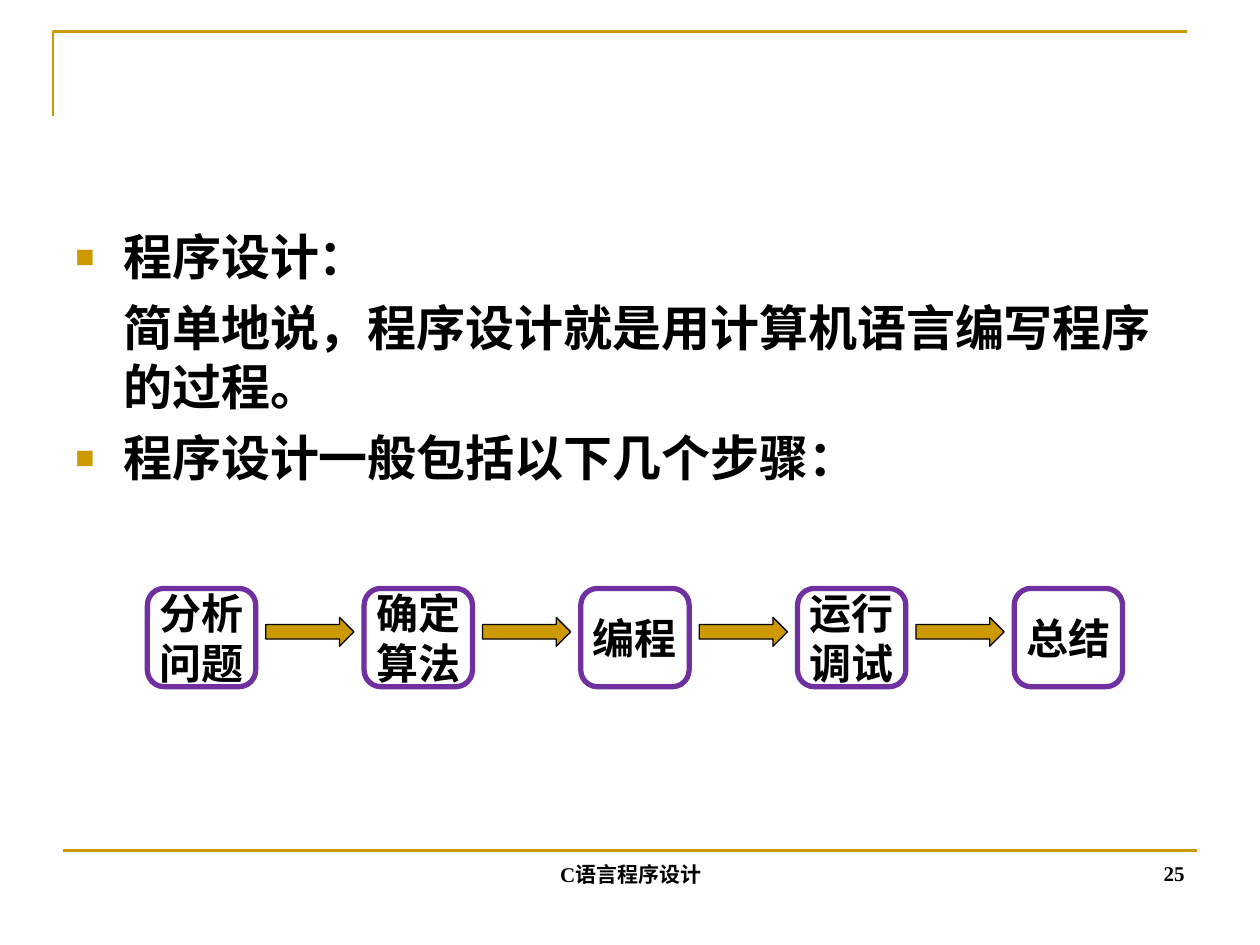
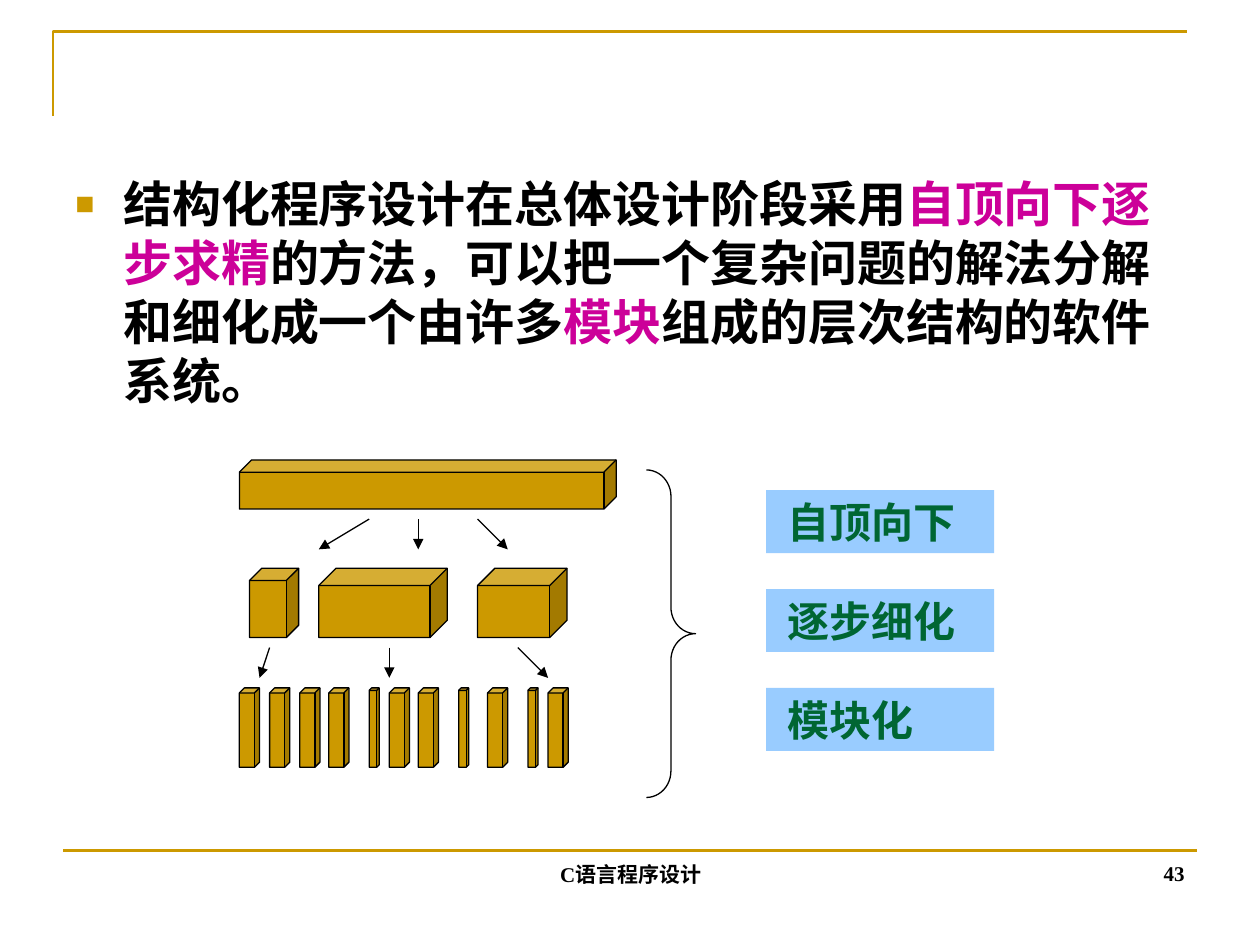
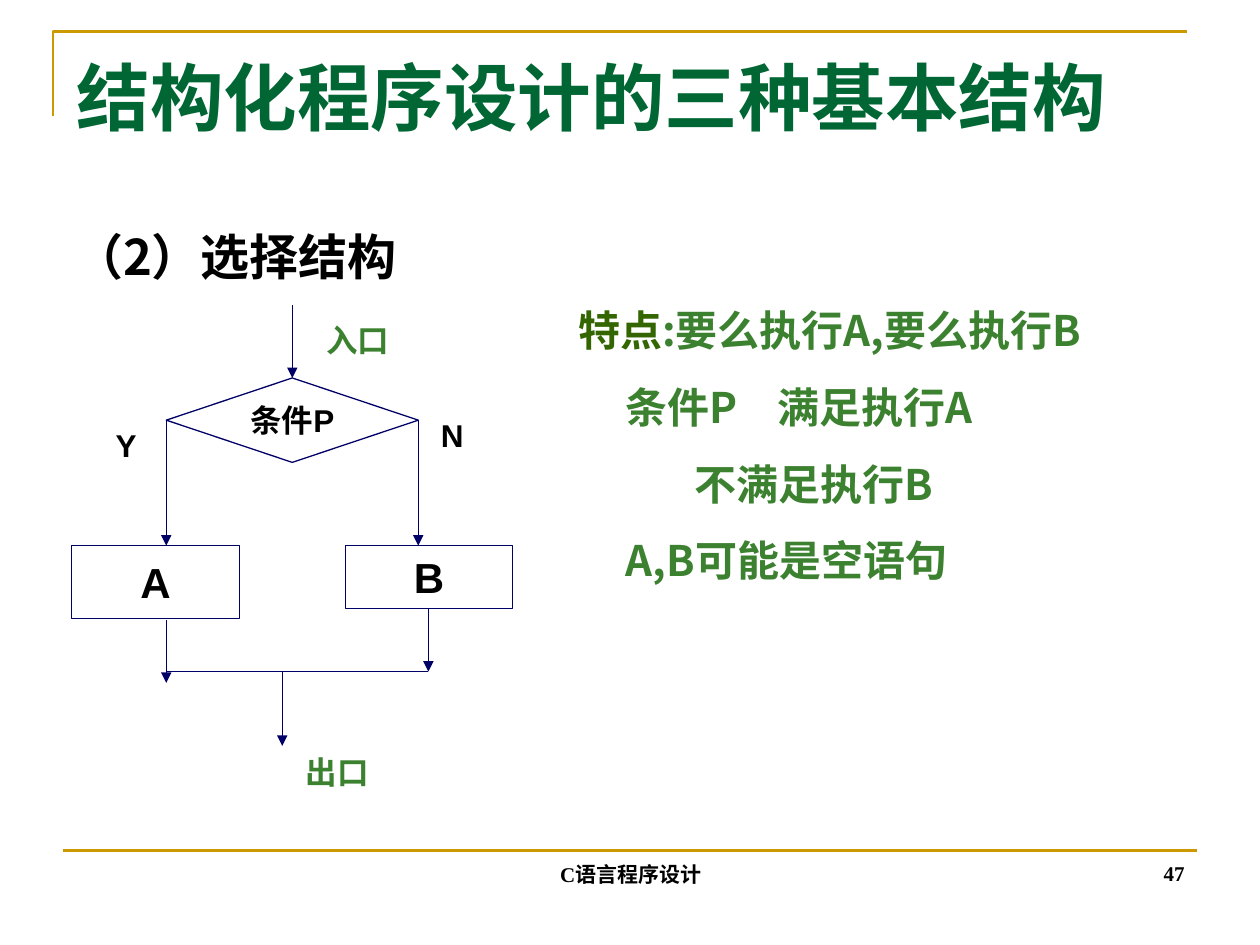
import pptx
import pptx.dml.color
import pptx.enum.shapes
import pptx.enum.text
import pptx.oxml
import pptx.oxml.ns
import pptx.util
from pptx.dml.color import RGBColor
from pptx.util import Inches

GOLD = RGBColor(0xCC, 0x99, 0x00)
BLACK = RGBColor(0, 0, 0)
WHITE = RGBColor(0xFF, 0xFF, 0xFF)
PURPLE = RGBColor(0x70, 0x30, 0xA0)
MAGENTA = RGBColor(0xCC, 0x00, 0x99)
NAVY = RGBColor(0x00, 0x00, 0x66)
SKY = RGBColor(0x99, 0xCC, 0xFF)
TITLE_GREEN = RGBColor(0x00, 0x66, 0x33)
LEAF_GREEN = RGBColor(0x3B, 0x81, 0x2F)
DARK_GREEN = RGBColor(0x33, 0x66, 0x00)

CJK_FONT = "Noto Sans CJK SC"
BODY_INDENT = 0.38

SHAPE = pptx.enum.shapes.MSO_SHAPE
ALIGN = pptx.enum.text.PP_ALIGN
ANCHOR = pptx.enum.text.MSO_ANCHOR


def append_xml(parent, *elements):
    """Append drawing elements, written without namespace, to parent."""
    declaration = pptx.oxml.ns.nsdecls("a")
    for element in elements:
        name, separator, rest = element.partition(" ")
        parent.append(pptx.oxml.parse_xml(f"<a:{name} {declaration} {rest}"))


def write_text(frame, text, size=24, font="Arial", color=BLACK, align=ALIGN.LEFT,
               anchor=ANCHOR.TOP, wrap=True, space=0, left_inset=0.1):
    """Write a string or a list of paragraphs; a paragraph may be a list of (text, colour)."""
    frame.word_wrap = wrap
    frame.vertical_anchor = anchor
    frame.margin_left = Inches(left_inset)
    paragraphs = [text] if isinstance(text, str) else text
    for index, content in enumerate(paragraphs):
        paragraph = frame.add_paragraph() if index else frame.paragraphs[0]
        paragraph.alignment = align
        if index and space:
            paragraph.space_before = pptx.util.Pt(space)
        runs = [(content, color)] if isinstance(content, str) else content
        for words, run_color in runs:
            run = paragraph.add_run()
            run.text = words
            run.font.size = pptx.util.Pt(size)
            run.font.bold = True
            run.font.name = font
            run.font.color.rgb = run_color
            append_xml(run.font._element, f'ea typeface="{CJK_FONT}"/>')


def add_text(slide, left, top, width, height, text, **text_format):
    box = slide.shapes.add_textbox(Inches(left), Inches(top), Inches(width), Inches(height))
    write_text(box.text_frame, text, **text_format)
    return box.text_frame


def add_body(slide, top, height, paragraphs, bulleted):
    """Add indented body text; bulleted holds the indexes of paragraphs with a bullet."""
    frame = add_text(slide, 0.5, top, 9, height, paragraphs, size=28, space=7)
    for index, paragraph in enumerate(frame.paragraphs):
        properties = paragraph._p.get_or_add_pPr()
        properties.set("marL", str(Inches(BODY_INDENT)))
        if index in bulleted:
            properties.set("indent", str(-Inches(BODY_INDENT)))
            append_xml(properties, f'buClr ><a:srgbClr val="{GOLD}"/></a:buClr>',
                       'buSzPct val="65000"/>', 'buFont typeface="Arial"/>',
                       'buChar char="■"/>')


def set_tabs(frame, positions):
    stops = "".join(f'<a:tab pos="{Inches(position)}" algn="l"/>' for position in positions)
    for paragraph in frame.paragraphs:
        append_xml(paragraph._p.get_or_add_pPr(), f"tabLst >{stops}</a:tabLst>")


def add_shape(slide, kind, left, top, width, height, fill=None, line=None, weight=0.75,
              adjustments=()):
    shape = slide.shapes.add_shape(kind, Inches(left), Inches(top),
                                   Inches(width), Inches(height))
    paint_shape(shape, fill, line, weight)
    for index, value in enumerate(adjustments):
        shape.adjustments[index] = value
    return shape


def paint_shape(shape, fill, line, weight):
    shape.shadow.inherit = False
    if fill is None:
        shape.fill.background()
    else:
        shape.fill.solid()
        shape.fill.fore_color.rgb = fill
    if line is None:
        shape.line.fill.background()
    else:
        shape.line.color.rgb = line
        shape.line.width = pptx.util.Pt(weight)


def add_node(slide, kind, left, top, width, height, text, line, weight=0.75,
             adjustments=(), **text_format):
    """Add a white outlined shape with centred text."""
    shape = add_shape(slide, kind, left, top, width, height, WHITE, line, weight, adjustments)
    write_text(shape.text_frame, text, align=ALIGN.CENTER, anchor=ANCHOR.MIDDLE,
               wrap=False, **text_format)


def add_line(slide, start_x, start_y, end_x, end_y, color, weight=0.75, arrow=True):
    connector = slide.shapes.add_connector(
        pptx.enum.shapes.MSO_CONNECTOR.STRAIGHT,
        Inches(start_x), Inches(start_y), Inches(end_x), Inches(end_y))
    connector.line.color.rgb = color
    connector.line.width = pptx.util.Pt(weight)
    if arrow:
        append_xml(connector.line._get_or_add_ln(), 'tailEnd type="triangle"/>')
    append_xml(connector._element.spPr, "effectLst />")


def add_framed_slide(presentation, number):
    """Add a blank slide with the corner frame, footer rule, footer and number."""
    slide = presentation.slides.add_slide(presentation.slide_layouts[6])
    builder = slide.shapes.build_freeform(Inches(0.42), Inches(0.92))
    builder.add_line_segments([(Inches(0.42), Inches(0.25)), (Inches(9.42), Inches(0.25))],
                              close=False)
    paint_shape(builder.convert_to_shape(), None, GOLD, 1.5)
    add_line(slide, 0.5, 6.75, 9.5, 6.75, GOLD, 1.5, arrow=False)
    footer = {"size": 12, "font": "Times New Roman", "anchor": ANCHOR.BOTTOM}
    add_text(slide, 3.42, 6.59, 3.17, 0.5, "C语言程序设计", align=ALIGN.CENTER, **footer)
    add_text(slide, 7.17, 6.58, 2.33, 0.5, str(number), align=ALIGN.RIGHT, **footer)
    return slide


def build_steps_slide(presentation):
    slide = add_framed_slide(presentation, 25)
    add_body(slide, 1.75, 2.25, [
        "程序设计：",
        "简单地说，程序设计就是用计算机语言编写程序的过程。",
        "程序设计一般包括以下几个步骤：",
    ], bulleted=(0, 2))
    steps = [["分析", "问题"], ["确定", "算法"], ["编程"], ["运行", "调试"], ["总结"]]
    for index, step in enumerate(steps):
        left = 1.17 + 1.72 * index
        add_node(slide, SHAPE.ROUNDED_RECTANGLE, left, 4.67, 0.86, 0.78, step,
                 PURPLE, 3, [0.17], font="Roboto")
        if index < len(steps) - 1:
            add_shape(slide, SHAPE.RIGHT_ARROW, left + 0.94, 4.9, 0.7, 0.23, GOLD, BLACK)


def build_refinement_slide(presentation):
    slide = add_framed_slide(presentation, 43)
    add_body(slide, 1.33, 4.95, [[
        ("结构化程序设计在总体设计阶段采用", BLACK),
        ("自顶向下逐步求精", MAGENTA),
        ("的方法，可以把一个复杂问题的解法分解和细化成一个由许多", BLACK),
        ("模块", MAGENTA),
        ("组成的层次结构的软件系统。", BLACK),
    ]], bulleted=(0,))

    wide, narrow = 0.16, 0.08
    modules = [(1.9, wide), (2.14, wide), (2.38, wide), (2.61, wide), (2.93, narrow),
               (3.09, wide), (3.32, wide), (3.64, narrow), (3.87, wide),
               (4.19, narrow), (4.35, wide)]
    levels = [(3.65, 0.39, [(1.9, 2.99)]),
              (4.51, 0.55, [(1.98, 0.39), (2.53, 1.02), (3.79, 0.71)]),
              (5.46, 0.63, modules)]
    for top, height, cubes in levels:
        for left, width in cubes:
            add_shape(slide, SHAPE.CUBE, left, top, width, height, GOLD, BLACK)

    arrow_rows = [(4.12, [(2.93, 2.53), (3.32, 3.32), (3.79, 4.03)]),
                  (5.14, [(2.14, 2.06), (3.09, 3.09), (4.11, 4.35)])]
    for top, arrows in arrow_rows:
        for start_x, end_x in arrows:
            add_line(slide, start_x, top, end_x, top + 0.24, BLACK)

    add_shape(slide, SHAPE.RIGHT_BRACE, 5.13, 3.73, 0.39, 2.6, line=BLACK,
              adjustments=[0.54, 0.5])
    for index, principle in enumerate(["自顶向下", "逐步细化", "模块化"]):
        label = add_shape(slide, SHAPE.RECTANGLE, 6.08, 3.89 + 0.785 * index, 1.81, 0.5, SKY)
        write_text(label.text_frame, principle, font="Roboto", color=TITLE_GREEN,
                   left_inset=0.17)


def build_selection_slide(presentation):
    slide = add_framed_slide(presentation, 47)
    add_text(slide, 0.51, 0.36, 8.83, 0.8, "结构化程序设计的三种基本结构",
             size=42, font=CJK_FONT, color=TITLE_GREEN)
    add_text(slide, 0.49, 1.75, 3.1, 1.04, "（2）选择结构", size=28, font=CJK_FONT)

    add_node(slide, SHAPE.RECTANGLE, 0.57, 4.33, 1.33, 0.58, "A", NAVY)
    add_node(slide, SHAPE.RECTANGLE, 2.74, 4.33, 1.33, 0.5, "B", NAVY)
    add_node(slide, SHAPE.DIAMOND, 1.32, 3, 2, 0.67, "条件P", NAVY, size=18)

    for x, top, bottom in [(2.32, 2.42, 3), (1.32, 3.33, 4.33), (3.32, 3.33, 4.33),
                           (1.32, 4.92, 5.42), (3.4, 4.83, 5.33), (2.24, 5.33, 5.92)]:
        add_line(slide, x, top, x, bottom, NAVY)
    add_line(slide, 1.32, 5.33, 3.4, 5.33, NAVY, arrow=False)

    for left, top, width, label, color in [
            (2.49, 2.5, 1.08, "入口", LEAF_GREEN), (2.33, 5.93, 1.25, "出口", LEAF_GREEN),
            (0.82, 3.33, 0.5, "Y", BLACK), (3.4, 3.25, 0.58, "N", BLACK)]:
        add_text(slide, left, top, width, 0.4, label, size=18, color=color)

    features = add_text(slide, 4.49, 2.37, 5, 2.33, [
        [("特点", DARK_GREEN), (":要么执行A,要么执行B", LEAF_GREEN)],
        "\t条件P\t满足执行A",
        "\t\t不满足执行B",
        "\tA,B可能是空语句",
    ], font=CJK_FONT, color=LEAF_GREEN, space=15)
    set_tabs(features, [0.38, 0.92, 1.58])


def main():
    presentation = pptx.Presentation()
    presentation.slide_width = Inches(10)
    presentation.slide_height = Inches(7.5)
    build_steps_slide(presentation)
    build_refinement_slide(presentation)
    build_selection_slide(presentation)
    presentation.save("out.pptx")


if __name__ == "__main__":
    main()
